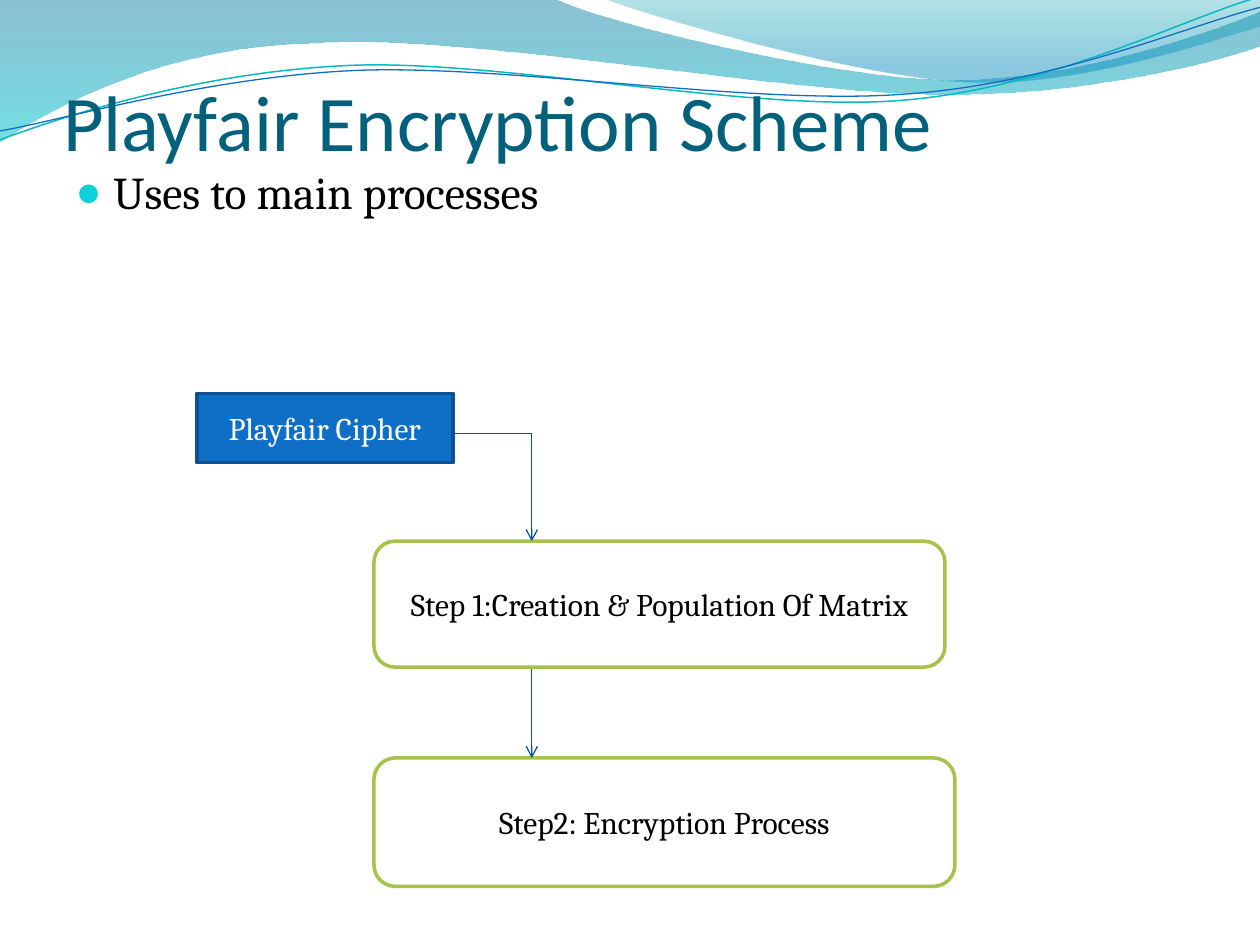
from lxml.etree import SubElement
from pptx import Presentation
from pptx.dml.color import RGBColor
from pptx.enum.shapes import MSO_CONNECTOR, MSO_SHAPE
from pptx.enum.text import MSO_ANCHOR, MSO_AUTO_SIZE, PP_ALIGN
from pptx.oxml.ns import qn
from pptx.util import Cm, Pt

FLOW_X = 10.72
BOX_LEFT = 7.54

UPPER_SWEEP = [
    (0, 0), [(11.18, -0.03)],
    [(12.09, 0.43), (16.87, 1.6), (19.25, 1.6)],
    [(21.67, 1.6), (24.33, 0.66), (25.4, 0.23)],
    [(25.43, 0.91)],
    [(24.97, 1.12), (22.1, 1.93), (18.95, 1.9)],
    [(15.8, 1.9), (9.7, 0.71), (6.53, 0.86)],
    [(3.28, 0.91), (1.17, 2.11), (-0.03, 2.87)],
]
RIGHT_SWEEP = [
    (12.17, -0.03),
    [(12.93, 0.28), (17.32, 1.57), (19.53, 1.65)],
    [(21.74, 1.75), (24.41, 0.81), (25.4, 0.53)],
    [(25.4, 0)],
]
TEAL_STRAND = [
    (0, 2.82),
    [(1.22, 2.36), (4.01, 1.45), (7.04, 1.32)],
    [(10.03, 1.19), (15.06, 2.26), (18.11, 2.03)],
    [(21.16, 1.8), (23.83, 0.38), (25.35, -0.05)],
]
BLUE_STRAND = [
    (0, 2.64),
    [(1.19, 2.44), (4.17, 1.55), (7.19, 1.42)],
    [(10.24, 1.3), (15.16, 2.13), (18.21, 1.9)],
    [(21.23, 1.7), (23.9, 0.53), (25.4, 0.15)],
]


def color(value):
    """Turn a hex string into a colour."""
    return RGBColor.from_string(value)


def set_font(paragraph, name, size, value):
    """Set the font of a whole paragraph."""
    paragraph.font.name = name
    paragraph.font.size = Pt(size)
    paragraph.font.color.rgb = color(value)


def set_line(line, value, width):
    """Give a line its colour and its width in points."""
    line.color.rgb = color(value)
    line.width = Pt(width)


def place(shape, left, top, width, height):
    """Move and size a shape, in centimetres."""
    shape.left, shape.top = Cm(left), Cm(top)
    shape.width, shape.height = Cm(width), Cm(height)


def add_outline(slide, outline, close):
    """Draw a freeform whose three-point segments are cubic curves."""
    start, *segments = outline
    builder = slide.shapes.build_freeform(*map(Cm, start))
    builder.add_line_segments([tuple(map(Cm, segment[-1])) for segment in segments], close=close)
    shape = builder.convert_to_shape()
    shape.shadow.inherit = False
    for element, segment in zip(list(shape._element.iter(qn("a:lnTo"))), segments):
        if len(segment) == 3:
            element.tag = qn("a:cubicBezTo")
            element.remove(element[0])
            for x, y in segment:
                SubElement(element, qn("a:pt"),
                           x=str(Cm(x) - shape.left), y=str(Cm(y) - shape.top))
    return shape


def add_sweep(slide, outline, stops):
    """Add a wave with a see-through gradient of (position, colour, opacity) stops."""
    shape = add_outline(slide, outline, True)
    shape.line.fill.background()
    shape.fill.gradient()
    shape.fill.gradient_angle = 270
    for stop, (position, value, _) in zip(shape.fill.gradient_stops, stops):
        stop.position = position
        stop.color.rgb = color(value)
    for element, (*_, opacity) in zip(shape._element.iter(qn("a:srgbClr")), stops):
        SubElement(element, qn("a:alpha"), val=str(opacity * 1000))


def add_strand(slide, outline, value, width):
    """Add a thin wavy line."""
    shape = add_outline(slide, outline, False)
    shape.fill.background()
    set_line(shape.line, value, width)


def fill_placeholder(placeholder, text, bounds, font):
    """Bring a placeholder in front of the waves, place it and write its text."""
    slide_tree = placeholder._element.getparent()
    slide_tree.append(placeholder._element)
    place(placeholder, *bounds)
    frame = placeholder.text_frame
    frame.text = text
    frame.auto_size = MSO_AUTO_SIZE.NONE
    set_font(frame.paragraphs[0], *font)
    return frame


def fill_title(title, text):
    """Write the slide title, left aligned at the bottom of its frame."""
    frame = fill_placeholder(title, text, (1.27, 1.19, 22.86, 2.18), ("Calibri", 45, "04617B"))
    frame.vertical_anchor = MSO_ANCHOR.BOTTOM
    frame.margin_left = frame.margin_right = frame.margin_bottom = 0
    frame.paragraphs[0].alignment = PP_ALIGN.LEFT


def fill_body(body, text):
    """Write the bulleted body."""
    frame = fill_placeholder(body, text, (1.27, 3.18, 22.86, 14.4), ("Cambria", 26, "000000"))
    paragraph = frame.paragraphs[0]
    paragraph.space_before = Pt(5.2)
    properties = paragraph._p.get_or_add_pPr()
    properties.set("marL", str(Cm(0.76)))
    properties.set("indent", str(-Cm(0.76)))
    bullet_color = SubElement(properties, qn("a:buClr"))
    SubElement(bullet_color, qn("a:srgbClr"), val="0BD0D9")
    SubElement(properties, qn("a:buSzPct"), val="95000")
    SubElement(properties, qn("a:buChar"), char="●")


def add_box(slide, kind, bounds, text, fill, line, text_color):
    """Add a process box with centred text."""
    shape = slide.shapes.add_shape(kind, *map(Cm, bounds))
    shape.shadow.inherit = False
    shape.fill.solid()
    shape.fill.fore_color.rgb = color(fill)
    set_line(shape.line, line, 2)
    frame = shape.text_frame
    frame.text = text
    frame.word_wrap = True
    frame.vertical_anchor = MSO_ANCHOR.MIDDLE
    paragraph = frame.paragraphs[0]
    paragraph.alignment = PP_ALIGN.CENTER
    set_font(paragraph, "Cambria", 18, text_color)


def add_link(slide, start, end, arrow=True):
    """Add a straight connector, with an arrowhead at its end if wanted."""
    link = slide.shapes.add_connector(MSO_CONNECTOR.STRAIGHT, *map(Cm, start + end))
    set_line(link.line, "095295", 0.75)
    if arrow:
        SubElement(link.line._get_or_add_ln(), qn("a:tailEnd"), type="arrow")
    SubElement(link._element.spPr, qn("a:effectLst"))


def main():
    """Build the slide and save it."""
    presentation = Presentation()
    presentation.slide_width, presentation.slide_height = Cm(25.4), Cm(19.05)
    slide = presentation.slides.add_slide(presentation.slide_layouts[1])
    title, body = list(slide.placeholders)

    add_sweep(slide, UPPER_SWEEP, [(0, "0074A1", 45), (1, "00C6CF", 55)])
    add_sweep(slide, RIGHT_SWEEP, [(0, "00A1A9", 30), (0.8, "008BBF", 45)])
    add_strand(slide, TEAL_STRAND, "0AB8BF", 0.85)
    add_strand(slide, BLUE_STRAND, "0F6FC6", 0.75)

    fill_title(title, "Playfair Encryption Scheme")
    fill_body(body, "Uses to main processes")

    add_box(slide, MSO_SHAPE.RECTANGLE, (3.97, 7.93, 5.16, 1.4),
            "Playfair Cipher", "0F6FC6", "0B5292", "FFFFFF")
    for top, width, height, text in [
        (10.91, 11.51, 2.54, "Step 1:Creation & Population Of Matrix"),
        (15.28, 11.71, 2.59, "Step2: Encryption Process"),
    ]:
        add_box(slide, MSO_SHAPE.ROUNDED_RECTANGLE, (BOX_LEFT, top, width, height),
                text, "FFFFFF", "A5C249", "000000")

    add_link(slide, (9.13, 8.74), (FLOW_X, 8.74), arrow=False)
    add_link(slide, (FLOW_X, 8.74), (FLOW_X, 10.91))
    add_link(slide, (FLOW_X, 13.48), (FLOW_X, 15.28))
    presentation.save("out.pptx")


if __name__ == "__main__":
    main()
